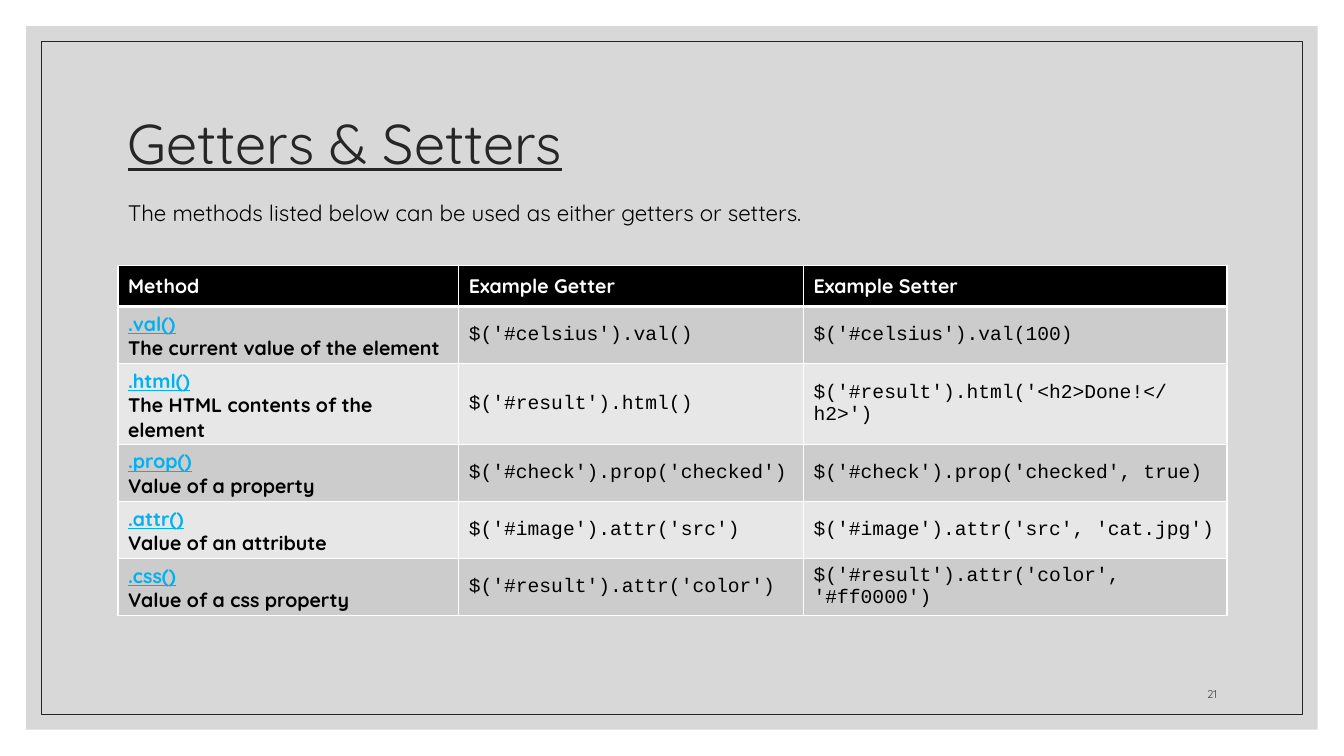
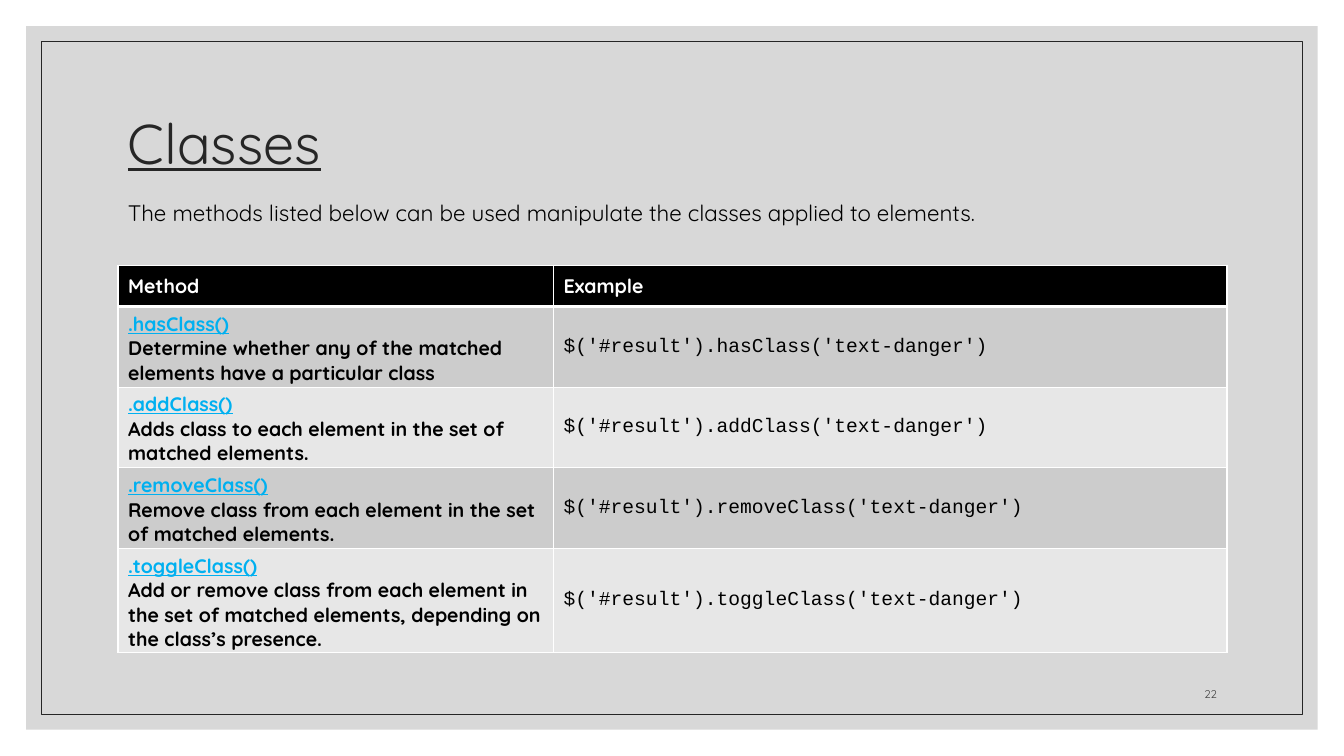
from dataclasses import dataclass

from lxml.etree import SubElement
from pptx import Presentation
from pptx.dml.color import RGBColor
from pptx.enum.shapes import MSO_SHAPE
from pptx.enum.text import MSO_ANCHOR, PP_ALIGN
from pptx.oxml import parse_xml
from pptx.oxml.ns import nsdecls, qn
from pptx.util import Inches, Pt

SLIDE_W, SLIDE_H = 13.33, 7.5
CONTENT_X, CONTENT_W = 1.17, 11
ROW_H = 0.41
BLACK, WHITE, INK, GREY = "000000", "FFFFFF", "262626", "404040"
PANEL, LINK = "BFBFBF", "00B0F0"
BANDS = ("CCCCCC", "E7E7E7")


@dataclass(frozen=True)
class Style:
    size: float
    color: str = BLACK
    font: str = "Quicksand"
    bold: bool = False
    underline: bool = False


TITLE = Style(40, INK, underline=True)
INTRO = Style(16)
NUMBER = Style(8, GREY)
HEADER = Style(14, WHITE, bold=True)
METHOD = Style(14, LINK, bold=True, underline=True)
DESCRIPTION = Style(14, bold=True)
CODE = Style(14, font="Courier New")


def rgb(color):
    return RGBColor.from_string(color)


def write(frame, *lines):
    """Fill a text frame with one paragraph for each (text, style) pair."""
    frame.word_wrap = True
    for index, (text, style) in enumerate(lines):
        paragraph = frame.paragraphs[0] if index == 0 else frame.add_paragraph()
        paragraph.text = text
        font = paragraph.font
        font.name, font.size = style.font, Pt(style.size)
        font.bold, font.underline = style.bold, style.underline
        font.color.rgb = rgb(style.color)
    return frame.paragraphs[0]


def add_text(slide, box, text, style, anchor=MSO_ANCHOR.TOP):
    frame = slide.shapes.add_textbox(*map(Inches, box)).text_frame
    frame.vertical_anchor = anchor
    return write(frame, (text, style))


def add_inset_rectangle(slide, margin):
    box = (margin, margin, SLIDE_W - 2 * margin, SLIDE_H - 2 * margin)
    rectangle = slide.shapes.add_shape(MSO_SHAPE.RECTANGLE, *map(Inches, box))
    rectangle.shadow.inherit = False
    return rectangle


def add_backdrop(slide):
    panel = add_inset_rectangle(slide, 0.26)
    panel.fill.solid()
    panel.fill.fore_color.rgb = rgb(PANEL)
    panel.line.fill.background()
    color = panel.fill._xPr.find(qn("a:solidFill"))[0]
    SubElement(color, qn("a:alpha"), val="60000")

    outline = add_inset_rectangle(slide, 0.41)
    outline.fill.background()
    outline.line.color.rgb = rgb(INK)
    outline.line.width = Pt(0.5)


def set_borders(cell, top=1, bottom=1):
    widths = {"lnL": 1, "lnR": 1, "lnT": top, "lnB": bottom}
    for position, (side, width) in enumerate(widths.items()):
        border = parse_xml(
            f'<a:{side} {nsdecls("a")} w="{Pt(width)}"><a:solidFill>'
            f'<a:srgbClr val="{WHITE}"/></a:solidFill></a:{side}>')
        cell._tc.get_or_add_tcPr().insert(position, border)


def fill_cell(cell, fill, *lines):
    cell.fill.solid()
    cell.fill.fore_color.rgb = rgb(fill)
    cell.vertical_anchor = MSO_ANCHOR.MIDDLE
    write(cell.text_frame, *lines)


def add_method_table(slide, box, headers, shares, methods):
    """Place a table whose column widths are shares of the box width."""
    table = slide.shapes.add_table(
        len(methods) + 1, len(headers), *map(Inches, box)).table
    for column, share in zip(table.columns, shares):
        column.width = Inches(box[2] * share)
    for cell, header in zip(table.rows[0].cells, headers):
        fill_cell(cell, BLACK, (header, HEADER))
        set_borders(cell, bottom=3)
    for index, (method, description, *examples) in enumerate(methods):
        cells = list(table.rows[index + 1].cells)
        band = BANDS[index % 2]
        fill_cell(cells[0], band, (method, METHOD), (description, DESCRIPTION))
        for cell, example in zip(cells[1:], examples):
            fill_cell(cell, band, (example, CODE))
        for cell in cells:
            set_borders(cell, top=3 if index == 0 else 1)


def add_method_slide(deck, number, title, intro, headers, shares, methods):
    slide = deck.slides.add_slide(deck.slide_layouts[6])
    add_backdrop(slide)
    heading = add_text(slide, (CONTENT_X, 0.7, CONTENT_W, 1.5), title, TITLE,
                       MSO_ANCHOR.MIDDLE)
    heading.line_spacing = 0.9
    add_text(slide, (CONTENT_X, 1.93, CONTENT_W, 0.54), intro, INTRO)
    number_w = 0.92
    page = add_text(
        slide, (CONTENT_X + CONTENT_W - number_w, 6.6, number_w, 0.4),
        str(number), NUMBER, MSO_ANCHOR.BOTTOM)
    page.alignment = PP_ALIGN.RIGHT
    table_box = (CONTENT_X, 2.63, CONTENT_W, ROW_H * (len(methods) + 1))
    add_method_table(slide, table_box, headers, shares, methods)


GETTERS_SETTERS = [
    (".val()", "The current value of the element",
     "$('#celsius').val()", "$('#celsius').val(100)"),
    (".html()", "The HTML contents of the element",
     "$('#result').html()", "$('#result').html('<h2>Done!</h2>')"),
    (".prop()", "Value of a property",
     "$('#check').prop('checked')", "$('#check').prop('checked', true)"),
    (".attr()", "Value of an attribute",
     "$('#image').attr('src')", "$('#image').attr('src', 'cat.jpg')"),
    (".css()", "Value of a css property",
     "$('#result').attr('color')", "$('#result').attr('color', '#ff0000')"),
]

CLASS_METHODS = [
    (".hasClass()",
     "Determine whether any of the matched elements have a particular class",
     "$('#result').hasClass('text-danger')"),
    (".addClass()",
     "Adds class to each element in the set of matched elements.",
     "$('#result').addClass('text-danger')"),
    (".removeClass()",
     "Remove class from each element in the set of matched elements.",
     "$('#result').removeClass('text-danger')"),
    (".toggleClass()",
     "Add or remove class from each element in the set of matched elements, "
     "depending on the class’s presence.",
     "$('#result').toggleClass('text-danger')"),
]


def main():
    deck = Presentation()
    deck.slide_width, deck.slide_height = Inches(SLIDE_W), Inches(SLIDE_H)
    add_method_slide(
        deck, 21, "Getters & Setters",
        "The methods listed below can be used as either getters or setters.",
        ("Method", "Example Getter", "Example Setter"),
        (3.38 / 11, 3.42 / 11, 4.2 / 11), GETTERS_SETTERS)
    add_method_slide(
        deck, 22, "Classes",
        "The methods listed below can be used manipulate the classes applied "
        "to elements.",
        ("Method", "Example"), (4.32 / 11, 6.68 / 11), CLASS_METHODS)
    deck.save("out.pptx")


if __name__ == "__main__":
    main()
